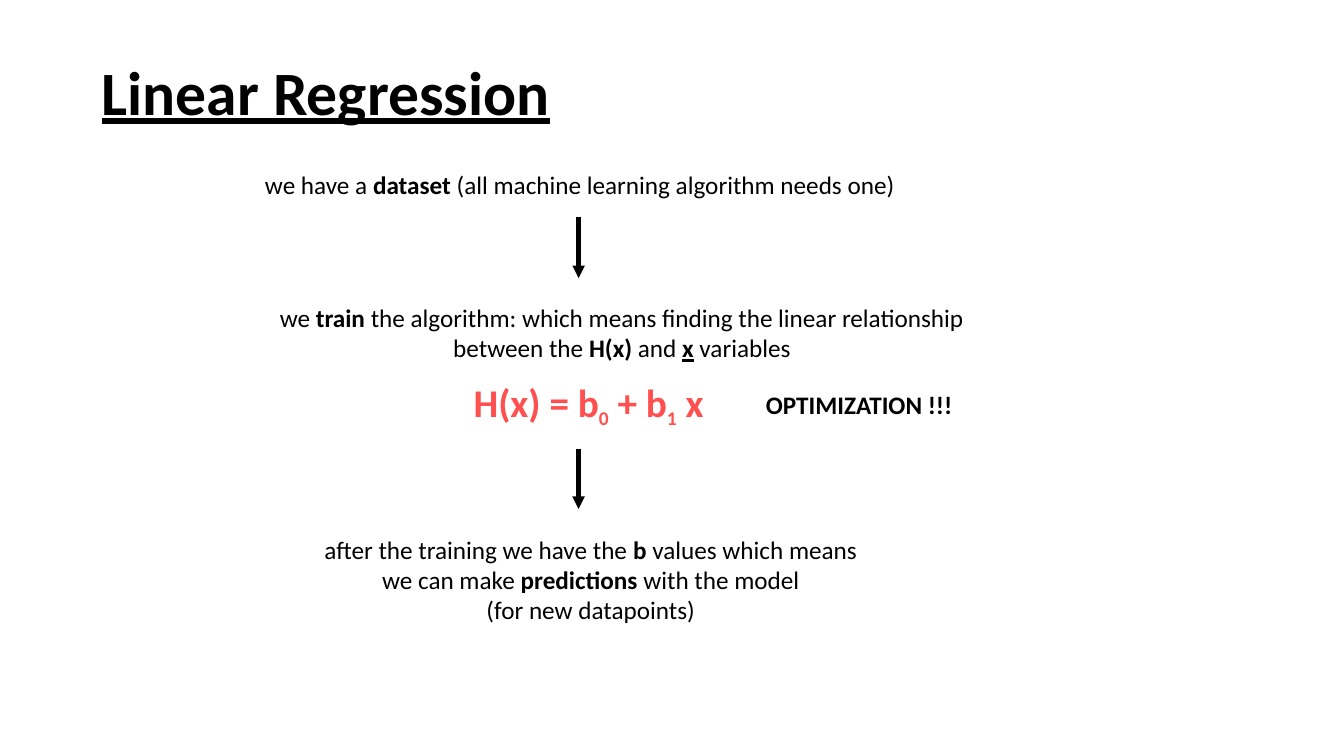
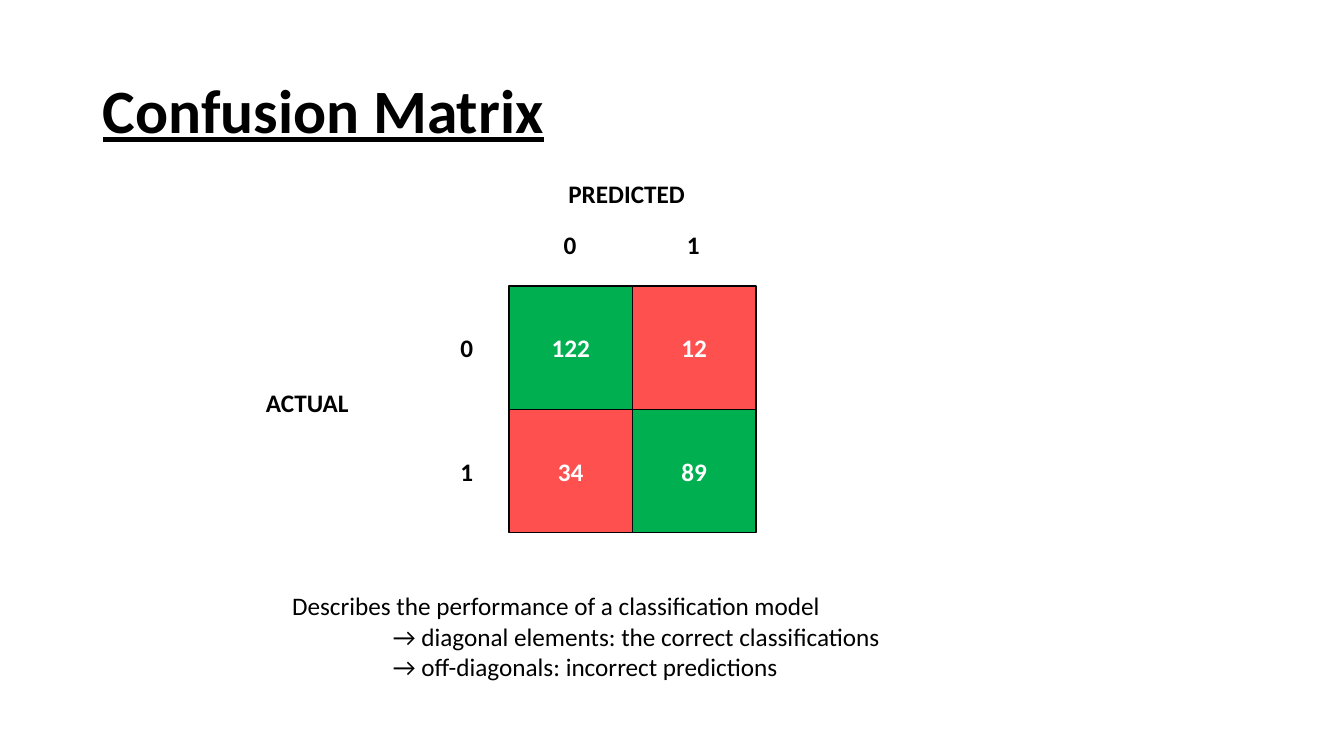
"""Build two slides: linear regression steps and a confusion matrix."""
from lxml import etree
from pptx import Presentation
from pptx.dml.color import RGBColor
from pptx.enum import shapes, text
from pptx.oxml.ns import qn
from pptx.util import Pt

BLACK = RGBColor(0x00, 0x00, 0x00)
WHITE = RGBColor(0xFF, 0xFF, 0xFF)
RED = RGBColor(0xFF, 0x50, 0x50)
GREEN = RGBColor(0x00, 0xB0, 0x50)
FONT = "Calibri"
LEFT, CENTER = text.PP_ALIGN.LEFT, text.PP_ALIGN.CENTER

PLAIN, BOLD, UNDERLINED, SUBSCRIPT = "", "b", "bu", "bs"
SUBSCRIPT_SIZE = 24

DATASET = [[("we have a ", PLAIN), ("dataset", BOLD),
            (" (all machine learning algorithm needs one)", PLAIN)]]
TRAINING = [
    [("we ", PLAIN), ("train", BOLD),
     (" the algorithm: which means finding the linear relationship", PLAIN)],
    [("between the ", PLAIN), ("H(x)", BOLD), (" and ", PLAIN),
     ("x", UNDERLINED), (" variables", PLAIN)],
]
FORMULA = [[("H(x) = b", BOLD), ("0", SUBSCRIPT), (" + b", BOLD),
            ("1", SUBSCRIPT), (" x", BOLD)]]
PREDICTION = [
    [("after the training we have the ", PLAIN), ("b", BOLD),
     (" values which means", PLAIN)],
    [("we can make ", PLAIN), ("predictions", BOLD), (" with the model", PLAIN)],
    [("(for new datapoints)", PLAIN)],
]
OPTIMIZATION = [[("OPTIMIZATION !!!", BOLD)]]

STEPS = [
    (DATASET, (182.2, 117.4, 470.2, 28.8), LEFT, 18, BLACK),
    (TRAINING, (190.1, 212.4, 508.3, 51.1), CENTER, 18, BLACK),
    (FORMULA, (331.2, 266.4, 179.3, 41), LEFT, 28, RED),
    (PREDICTION, (221.8, 378, 400.3, 72.7), CENTER, 18, BLACK),
    (OPTIMIZATION, (540, 274.3, 149, 28.8), LEFT, 18, BLACK),
]
ARROW_X = 413.3
ARROW_SPANS = [(154.8, 198.7), (320.4, 363.6)]

CLASSES = ["0", "1"]
COUNTS = [[122, 12], [34, 89]]
MATRIX_LEFT, MATRIX_TOP, CELL = 363.6, 204.2, 88.2
COLUMN_LABEL_TOP, ROW_LABEL_LEFT = 160.6, 321.8
LABEL_WIDTH, LABEL_HEIGHT = 24.5, 28.8
AXES = [("PREDICTED", (398.9, 123.8, 109.4, LABEL_HEIGHT)),
        ("ACTUAL", (182.9, 272.9, 82.8, LABEL_HEIGHT))]
SUMMARY = [
    [("Describes the performance of a classification model", PLAIN)],
    [("→ diagonal elements: the correct classifications", PLAIN)],
    [("→ off-diagonals: incorrect predictions", PLAIN)],
]
SUMMARY_BOX = (201.6, 418.3, 508.3, 72.7)
SUMMARY_INDENT = 72


def points(values):
    return [Pt(value) for value in values]


def style(run, size, color, look=PLAIN):
    font = run.font
    font.name, font.size, font.color.rgb = FONT, Pt(size), color
    font.bold = "b" in look
    if "u" in look:
        font.underline = True
    if "s" in look:
        font.size = Pt(SUBSCRIPT_SIZE)
        run._r.get_or_add_rPr().set("baseline", "-25000")


def add_titled_slide(deck, title, left, top):
    slide = deck.slides.add_slide(deck.slide_layouts[5])
    heading = slide.shapes.title
    heading.left, heading.top, heading.width, heading.height = points(
        (left, top, 828, 104.4))
    heading.text_frame.text = title
    heading.text_frame.vertical_anchor = text.MSO_ANCHOR.MIDDLE
    paragraph = heading.text_frame.paragraphs[0]
    paragraph.alignment, paragraph.line_spacing = LEFT, 0.9
    style(paragraph.runs[0], 44, BLACK, UNDERLINED)
    return slide


def add_text(slide, lines, box, align=LEFT, size=18, color=BLACK, wrap=False):
    frame = slide.shapes.add_textbox(*points(box)).text_frame
    frame.word_wrap = wrap
    frame.auto_size = text.MSO_AUTO_SIZE.SHAPE_TO_FIT_TEXT
    for number, line in enumerate(lines):
        paragraph = frame.add_paragraph() if number else frame.paragraphs[0]
        paragraph.alignment = align
        for words, look in line:
            run = paragraph.add_run()
            run.text = words
            style(run, size, color, look)
    return frame


def add_arrow(slide, x, top, bottom):
    arrow = slide.shapes.add_connector(
        shapes.MSO_CONNECTOR.STRAIGHT, *points((x, top, x, bottom)))
    arrow.line.color.rgb, arrow.line.width = BLACK, Pt(3)
    etree.SubElement(arrow.line._get_or_add_ln(), qn("a:tailEnd"), type="triangle")
    etree.SubElement(arrow._element.spPr, qn("a:effectLst"))


def add_cell(slide, count, left, top, fill):
    cell = slide.shapes.add_shape(
        shapes.MSO_SHAPE.RECTANGLE, *points((left, top, CELL, CELL)))
    cell.shadow.inherit = False
    cell.fill.solid()
    cell.fill.fore_color.rgb = fill
    cell.line.color.rgb, cell.line.width = BLACK, Pt(1)
    cell.text_frame.text = str(count)
    cell.text_frame.vertical_anchor = text.MSO_ANCHOR.MIDDLE
    paragraph = cell.text_frame.paragraphs[0]
    paragraph.alignment = CENTER
    style(paragraph.runs[0], 18, WHITE, BOLD)


def build_regression(deck):
    slide = add_titled_slide(deck, "Linear Regression", 65.5, 15.8)
    for step in STEPS:
        add_text(slide, *step)
    for top, bottom in ARROW_SPANS:
        add_arrow(slide, ARROW_X, top, bottom)


def build_confusion(deck):
    slide = add_titled_slide(deck, "Confusion Matrix", 66.2, 28.8)
    for row, counts in enumerate(COUNTS):
        for column, count in enumerate(counts):
            add_cell(slide, count, MATRIX_LEFT + column * CELL,
                     MATRIX_TOP + row * CELL, GREEN if row == column else RED)
    labels = list(AXES)
    for index, name in enumerate(CLASSES):
        middle = (index + 0.5) * CELL
        column_left = MATRIX_LEFT + middle - LABEL_WIDTH / 2
        row_top = MATRIX_TOP + middle - LABEL_HEIGHT / 2
        labels += [
            (name, (column_left, COLUMN_LABEL_TOP, LABEL_WIDTH, LABEL_HEIGHT)),
            (name, (ROW_LABEL_LEFT, row_top, LABEL_WIDTH, LABEL_HEIGHT)),
        ]
    for name, box in labels:
        add_text(slide, [[(name, BOLD)]], box)
    summary = add_text(slide, SUMMARY, SUMMARY_BOX, wrap=True)
    for paragraph in summary.paragraphs[1:]:
        paragraph._p.get_or_add_pPr().set("marL", str(Pt(SUMMARY_INDENT)))


def main():
    deck = Presentation()
    deck.slide_width, deck.slide_height = Pt(960), Pt(540)
    build_regression(deck)
    build_confusion(deck)
    deck.save("out.pptx")


if __name__ == "__main__":
    main()
